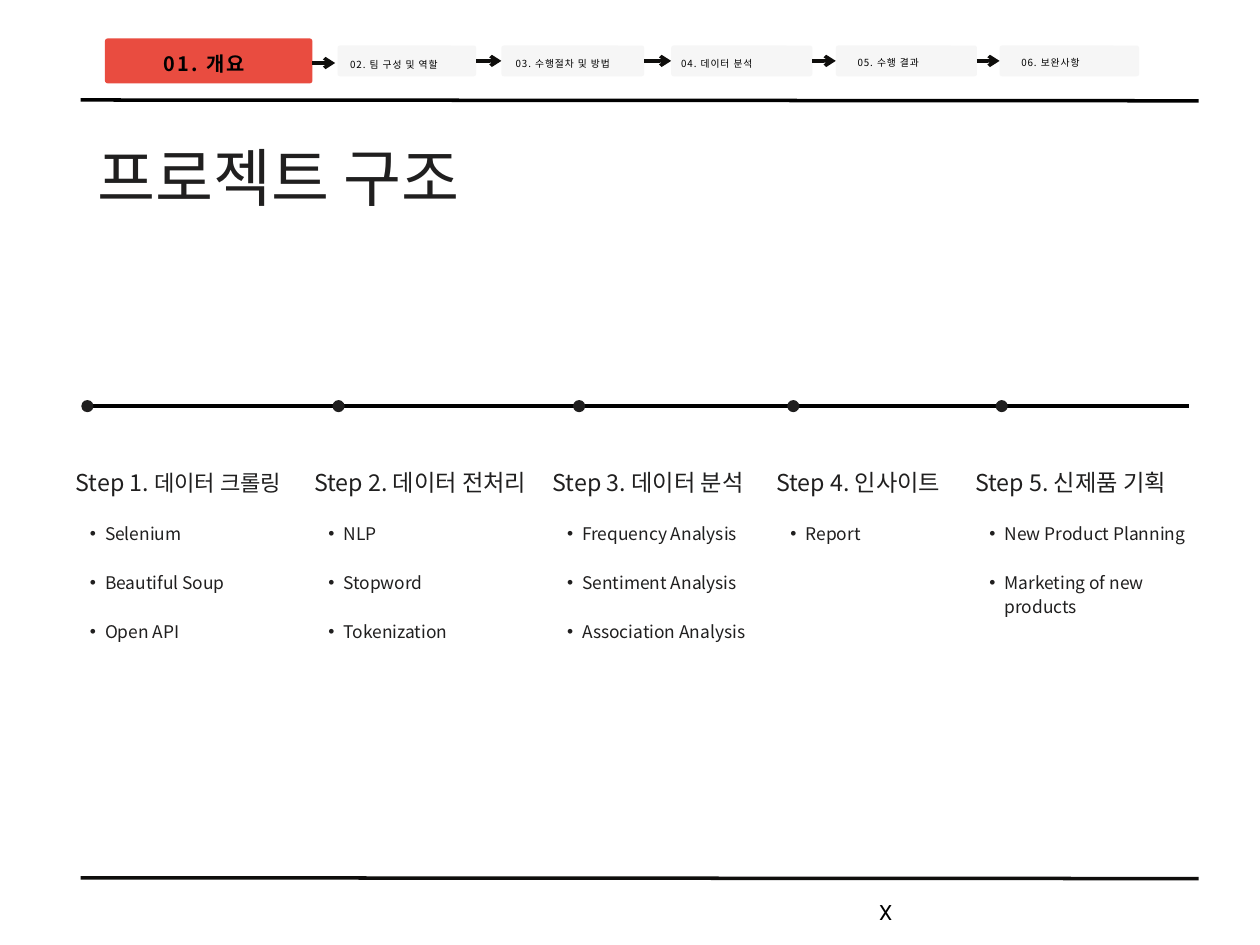
from lxml import etree
from pptx import Presentation
from pptx import util as u
from pptx.dml.color import RGBColor
from pptx.enum import shapes, text
from pptx.oxml import ns

COLORS = {"ink": "201F1F", "black": "000000", "rule": "0F0E0C",
          "active": "E94C40", "pill": "F6F6F6"}
SANS = "Noto Sans CJK KR"
NAV_MID = 52.2
AXIS_Y = 348.1

NAV = [("02. 팀 구성 및 역할", 289.4, 118.8, 299.5, 48.2),
       ("03. 수행절차 및 방법", 429.8, 122.4, 441.4, 47.5),
       ("04. 데이터 분석", 575.3, 121, 583.2, 46.8),
       ("05. 수행 결과", 716.4, 121, 734.4, 46.1),
       ("06. 보완사항", 856.8, 119.6, 874.8, 46.1)]

STEPS = [("데이터 크롤링", 19, 64.8, 190.1, 74.9,
          ["Selenium", "Beautiful Soup", "Open API"]),
         ("데이터 전처리", 19.9, 269.3, 196.6, 290.2,
          ["NLP", "Stopword", "Tokenization"]),
         ("데이터 분석", 19.9, 473.8, 177.8, 496.4,
          ["Frequency Analysis", "Sentiment Analysis", "Association Analysis"]),
         ("인사이트", 19.9, 665.3, 167, 680, ["Report"]),
         ("신제품 기획", 19.9, 835.9, 182.9, 858.6,
          ["New Product Planning", "Marketing of new products"])]


class Deck:
    """Holds the style and the current slide, and draws its elements."""

    def __init__(self):
        self.prs = Presentation()
        self.prs.slide_width, self.prs.slide_height = u.Pt(1080), u.Pt(810)
        self.s = self.prs.slides.add_slide(self.prs.slide_layouts[4])
        self.bodies = iter(list(self.s.placeholders)[1:])

    def color(self, name):
        return RGBColor.from_string(COLORS[name])

    def place(self, sp, x, y, w, h):
        sp.left, sp.top, sp.width, sp.height = map(u.Pt, (x, y, w, h))

    def frame(self, sp, margins=(0, 0, 0, 0)):
        tf = sp.text_frame
        tf.word_wrap = True
        tf.auto_size = text.MSO_AUTO_SIZE.NONE
        tf.vertical_anchor = text.MSO_ANCHOR.TOP
        (tf.margin_left, tf.margin_top,
         tf.margin_right, tf.margin_bottom) = map(u.Pt, margins)
        return tf

    def style(self, p, size, leading, color="ink", font=SANS, bold=False,
              spacing=0, align=text.PP_ALIGN.LEFT, before=0):
        p.alignment = align
        p.line_spacing, p.space_before = u.Pt(leading), u.Pt(before)
        for r in p.runs:
            r.font.size, r.font.bold, r.font.name = u.Pt(size), bold, font
            r.font.color.rgb = self.color(color)
            rPr = r.font._element
            etree.SubElement(rPr, ns.qn("a:ea"), typeface=font)
            if spacing:
                rPr.set("spc", str(round(spacing * 100)))

    def title(self, words, x, y, w, h):
        sp = self.s.shapes.title
        self.place(sp, x, y, w, h)
        tf = self.frame(sp)
        tf.text = words
        self.style(tf.paragraphs[0], 54, 38.5)

    def label(self, words, x, y, w, h, size, leading, **style):
        sp = self.s.shapes.add_textbox(*map(u.Pt, (x, y, w, h)))
        tf = self.frame(sp)
        tf.text = words
        self.style(tf.paragraphs[0], size, leading, **style)
        return tf.paragraphs[0]

    def bullets(self, items, x, y, w):
        sp = next(self.bodies, None) or self.s.shapes.add_textbox(0, 0, 0, 0)
        self.place(sp, x, y, w, 20.9 * (2 * len(items) - 1))
        tf = self.frame(sp)
        tf.text = "\n".join(items)
        for i, p in enumerate(tf.paragraphs):
            p.level = 1
            pPr = p._p.get_or_add_pPr()
            pPr.set("marL", str(u.Pt(25.2)))
            pPr.set("indent", str(u.Pt(-13)))
            etree.SubElement(pPr, ns.qn("a:buFont"), typeface="Arial")
            etree.SubElement(pPr, ns.qn("a:buChar"), char="•")
            self.style(p, 14.9, 20.9, before=20.9 if i else 0)

    def shape(self, kind, x, y, w, h, fill):
        sp = self.s.shapes.add_shape(kind, *map(u.Pt, (x, y, w, h)))
        sp.shadow.inherit = False
        sp.fill.solid()
        sp.fill.fore_color.rgb = self.color(fill)
        sp.line.fill.background()
        return sp

    def pill(self, words, x, w, h, fill, margins, size, leading, **style):
        sp = self.shape(shapes.MSO_SHAPE.ROUNDED_RECTANGLE,
                        x, NAV_MID - h / 2, w, h, fill)
        sp.adjustments[0] = 2.2 / h
        tf = self.frame(sp, margins)
        tf.text = words
        self.style(tf.paragraphs[0], size, leading, color="black", **style)
        return sp

    def dot(self, x, y, d=10.4):
        self.shape(shapes.MSO_SHAPE.OVAL, x - d / 2, y - d / 2, d, d, "ink")

    def line(self, x1, y1, x2, y2, color="rule", arrow=False):
        c = self.s.shapes.add_connector(shapes.MSO_CONNECTOR.STRAIGHT,
                                        *map(u.Pt, (x1, y1, x2, y2)))
        c.line.width = u.Pt(3)
        c.line.color.rgb = self.color(color)
        if arrow:
            etree.SubElement(c.line._get_or_add_ln(), ns.qn("a:tailEnd"), type="arrow")
        etree.SubElement(c._element.spPr, ns.qn("a:effectLst"))
        return c

    def join(self, a, b):
        c = self.line(0, 0, 0, 0, arrow=True)
        c.begin_connect(a, 3)
        c.end_connect(b, 1)


def main():
    d = Deck()
    d.title("프로젝트 구조", 83.5, 145.4, 471.6, 39.6)

    d.pill("01. 개요", 90, 177.8, 38.4, "active", (11.5, 7.3, 18.7, 0), 17, 23.9,
           bold=True, spacing=1.7, align=text.PP_ALIGN.CENTER)
    pill_h = 26.4
    pills = [d.pill(words, x, w, pill_h, "pill",
                    (tx - x, ty - NAV_MID + pill_h / 2, 0, 0), 8.4, 11.8, spacing=0.8)
             for words, x, w, tx, ty in NAV]
    d.line(267.8, 54, 287.3, 54, arrow=True)
    for a, b in zip(pills, pills[1:]):
        d.join(a, b)
    d.line(69.1, 85.7, 1027.4, 86.4, "black")

    d.line(74.9, AXIS_Y, 1018.8, AXIS_Y, "black")
    for i, (name, size, x, w, dot_x, items) in enumerate(STEPS, 1):
        d.dot(dot_x, AXIS_Y)
        p = d.label(f"Step {i}. ", x, 397.4, w, 28, 19.9, 27.9)
        p.add_run().text = name
        d.style(p, 19.9, 27.9)
        p.runs[1].font.size = u.Pt(size)
        d.bullets(items, x, 445.7, w)

    d.line(69.1, 752.4, 1027.4, 753.1)
    d.label("X", 722.9, 767.5, 72.7, 39.6, 18, 25.2, color="black",
            font="Roboto", align=text.PP_ALIGN.CENTER)
    d.prs.save("out.pptx")


if __name__ == "__main__":
    main()
